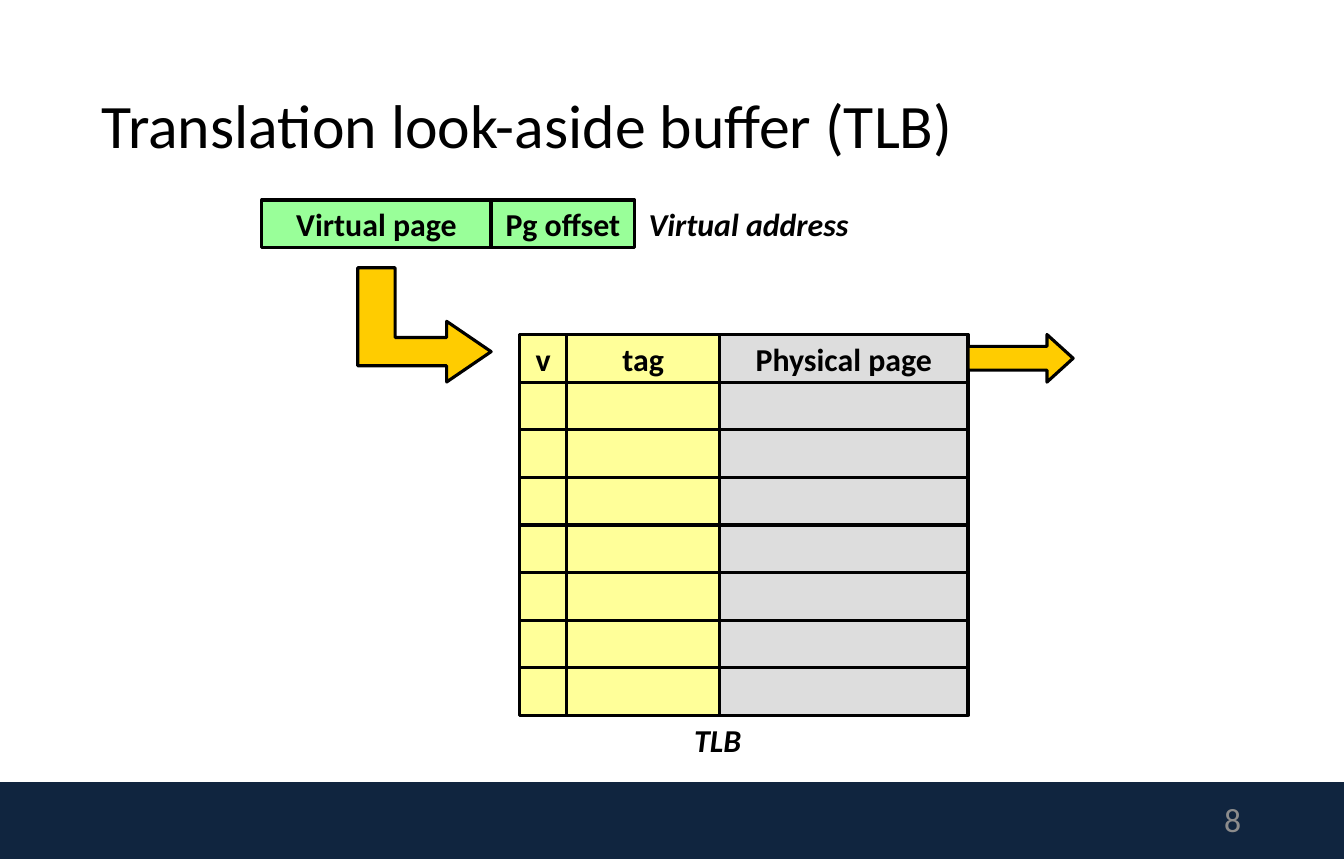
from pptx import Presentation
from pptx import util as u
from pptx.dml.color import RGBColor
from pptx.enum import shapes, text

# Content
TITLE = "Translation look-aside buffer (TLB)"
NUMBER = "8"
ADDRESS = [("Virtual page", 2.27), ("Pg offset", 1.42)]  # label, width
COLUMNS = [  # heading, width, fill
    ("v", 0.47, "yellow"),
    ("tag", 1.51, "yellow"),
    ("Physical page", 2.46, "gray"),
]
ROWS = 8
BENT = [  # outline of the bent arrow
    (4.86, 3.48), (4.42, 3.18), (4.42, 3.34), (3.91, 3.34), (3.91, 2.65),
    (3.54, 2.65), (3.54, 3.62), (4.42, 3.62), (4.42, 3.78),
]

THEME = {
    "font": "Calibri", "title": 44, "number": 24, "label": 22.7, "line": 2.25,
    "black": "000000", "navy": "10253F", "muted": "8C8C8C", "green": "99FF99",
    "yellow": "FFFF99", "gray": "DDDDDD", "gold": "FFCC00",
}

# Layout
WIDE, HIGH = 13.3, 8.5
BAND_TOP = 7.74
ADDR_LEFT, ADDR_TOP, ADDR_HIGH = 2.59, 1.98, 0.47
GRID_LEFT, GRID_TOP, GRID_HIGH = 5.14, 3.31, 3.77
ROW = GRID_HIGH / ROWS

LEFT, CENTER, RIGHT = (
    text.PP_ALIGN.LEFT, text.PP_ALIGN.CENTER, text.PP_ALIGN.RIGHT)

deck = Presentation()
deck.slide_width, deck.slide_height = u.Inches(WIDE), u.Inches(HIGH)
slide = deck.slides.add_slide(deck.slide_layouts[6])


def color(name):
    return RGBColor.from_string(THEME[name])


def paint(shape, fill, line=True):
    shape.shadow.inherit = False
    shape.fill.solid()
    shape.fill.fore_color.rgb = color(fill)
    if line:
        shape.line.color.rgb = color("black")
        shape.line.width = u.Pt(THEME["line"])
    else:
        shape.line.fill.background()


def write(shape, words, size="label", align=LEFT, ink="black",
          bold=False, italic=False, wrap=False):
    frame = shape.text_frame
    frame.text = words
    frame.word_wrap = wrap
    frame.vertical_anchor = text.MSO_ANCHOR.MIDDLE
    line = frame.paragraphs[0]
    line.alignment = align
    font = line.runs[0].font
    font.name, font.size = THEME["font"], u.Pt(THEME[size])
    font.bold, font.italic = bold, italic
    font.color.rgb = color(ink)
    return line


def place(x, y, w, h):
    return [u.Inches(v) for v in (x, y, w, h)]


def block(x, y, w, h, fill, kind=shapes.MSO_SHAPE.RECTANGLE, line=True):
    shape = slide.shapes.add_shape(kind, *place(x, y, w, h))
    paint(shape, fill, line)
    return shape


def cell(x, y, w, h, fill, words=""):
    shape = block(x, y, w, h, fill)
    if words:
        frame = shape.text_frame
        frame.margin_left = frame.margin_right = u.Inches(0.11)
        frame.margin_top = frame.margin_bottom = u.Inches(0.06)
        write(shape, words, align=CENTER, bold=True)


def box(x, y, w, h):
    return slide.shapes.add_textbox(*place(x, y, w, h))


# Footer band, title and slide number
block(0, BAND_TOP, WIDE, HIGH - BAND_TOP, "navy", line=False)
head = write(box(0.91, 0.45, 11.47, 1.64), TITLE, "title", wrap=True)
head.line_spacing = 0.9
write(box(9.39, 7.88, 2.99, 0.45), NUMBER, "number", RIGHT, "muted", wrap=True)

# Virtual address
x = ADDR_LEFT
for words, w in ADDRESS:
    cell(x, ADDR_TOP, w, ADDR_HIGH, "green", words)
    x += w

# Bent arrow from the address to the buffer
start, *rest = [(u.Inches(a), u.Inches(b)) for a, b in BENT]
path = slide.shapes.build_freeform(*start)
path.add_line_segments(rest, close=True)
paint(path.convert_to_shape(), "gold")

# Buffer grid, with headings in the first row
x = GRID_LEFT
for words, w, fill in COLUMNS:
    for row in range(ROWS):
        cell(x, GRID_TOP + row * ROW, w, ROW, fill, "" if row else words)
    x += w

# Arrow out of the buffer
out = block(x, GRID_TOP, 1.04, ROW, "gold", shapes.MSO_SHAPE.RIGHT_ARROW)
out.adjustments[0], out.adjustments[1] = 0.5, 0.55

# Captions
for words, spot in [("Virtual address", (6.32, 1.97, 2.2, 0.48)),
                    ("TLB", (6.77, GRID_TOP + GRID_HIGH, 0.67, 0.48))]:
    write(box(*spot), words, bold=True, italic=True)

deck.save("out.pptx")
